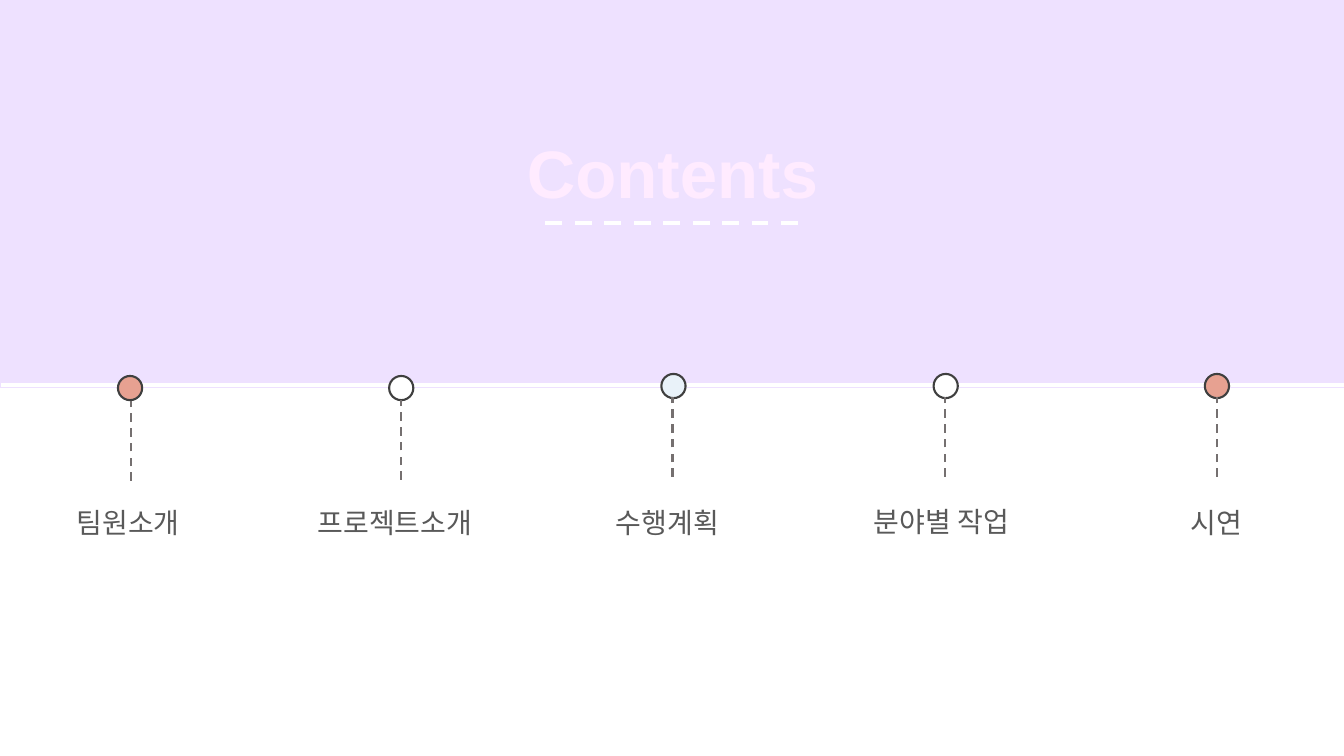
from pptx import Presentation
from pptx.util import Inches, Pt
from pptx.dml.color import RGBColor
from pptx.enum.dml import MSO_LINE
from pptx.enum.shapes import MSO_SHAPE, MSO_CONNECTOR
from pptx.enum.text import PP_ALIGN
from lxml.etree import SubElement
from pptx.oxml.ns import qn

WIDE, HIGH = 13.33, 7.5
BACK, WHITE, EDGE, STEM = "EEE1FF", "FFFFFF", "3F3F3F", "757070"
TITLE = {"size": Pt(48), "bold": True, "name": "Arial"}
LABEL = {"size": Pt(20), "bold": False, "name": "Arial"}
DOT, DROP = 0.24, 0.79

STOPS = [
    {"text": "팀원소개", "dot": (1.17, 3.73), "fill": "E7A191", "stem": (1.3, 3.98), "box": (0.66, 4.97, 1.49)},
    {"text": "프로젝트소개", "dot": (3.86, 3.73), "fill": WHITE, "stem": (3.98, 3.97), "box": (3.05, 4.97, 2.18)},
    {"text": "수행계획", "dot": (6.56, 3.71), "fill": "E9F2F9", "stem": (6.67, 3.94), "box": (6.01, 4.97, 1.49)},
    {"text": "분야별 작업", "dot": (9.26, 3.71), "fill": WHITE, "stem": (9.37, 3.94), "box": (8.57, 4.96, 2.07)},
    {"text": "시연", "dot": (11.95, 3.71), "fill": "E7A191", "stem": (12.07, 3.94), "box": (11.71, 4.97, 1.49)},
]


def tint(part, code):
    if hasattr(part, "solid"):
        part.solid()
        part = part.fore_color
    part.rgb = RGBColor.from_string(code)


def add_form(kind, area, fill, edge=None):
    form = slide.shapes.add_shape(kind, *map(Inches, area))
    form.shadow.inherit = False
    tint(form.fill, fill)
    if edge:
        tint(form.line.fill, edge)
        form.line.width = Pt(1.5)
    else:
        form.line.fill.background()


def add_line(ends, code, width, dash=None):
    line = slide.shapes.add_connector(MSO_CONNECTOR.STRAIGHT, *map(Inches, ends))
    tint(line.line.fill, code)
    line.line.width = Pt(width)
    if dash:
        line.line.dash_style = dash
    SubElement(line._element.spPr, qn("a:effectLst"))


def add_text(text, area, style, code, align=PP_ALIGN.LEFT):
    frame = slide.shapes.add_textbox(*map(Inches, area)).text_frame
    frame.word_wrap = True
    para = frame.paragraphs[0]
    para.alignment = align
    run = para.add_run()
    run.text = text
    for key, value in style.items():
        setattr(run.font, key, value)
    tint(run.font.fill, code)


deck = Presentation()
deck.slide_width, deck.slide_height = Inches(WIDE), Inches(HIGH)
slide = deck.slides.add_slide(deck.slide_layouts[6])
tint(slide.background.fill, BACK)

add_form(MSO_SHAPE.RECTANGLE, (0, 3.85, WIDE, HIGH - 3.85), WHITE)
add_line((0.01, 3.82, 13.34, 3.82), WHITE, 3)
add_text("Contents", (4.67, 1.25, 4, 0.84), TITLE, "FFEBFF", PP_ALIGN.CENTER)
add_line((5.41, 2.21, 7.93, 2.21), WHITE, 3, MSO_LINE.DASH)

for stop in STOPS:
    x, y = stop["stem"]
    left, top, width = stop["box"]
    add_form(MSO_SHAPE.OVAL, (*stop["dot"], DOT, DOT), stop["fill"], EDGE)
    add_text(stop["text"], (left, top, width, 0.44), LABEL, "595959")
    add_line((x, y + DROP, x, y), STEM, 1.5, MSO_LINE.DASH)

deck.save("out.pptx")
